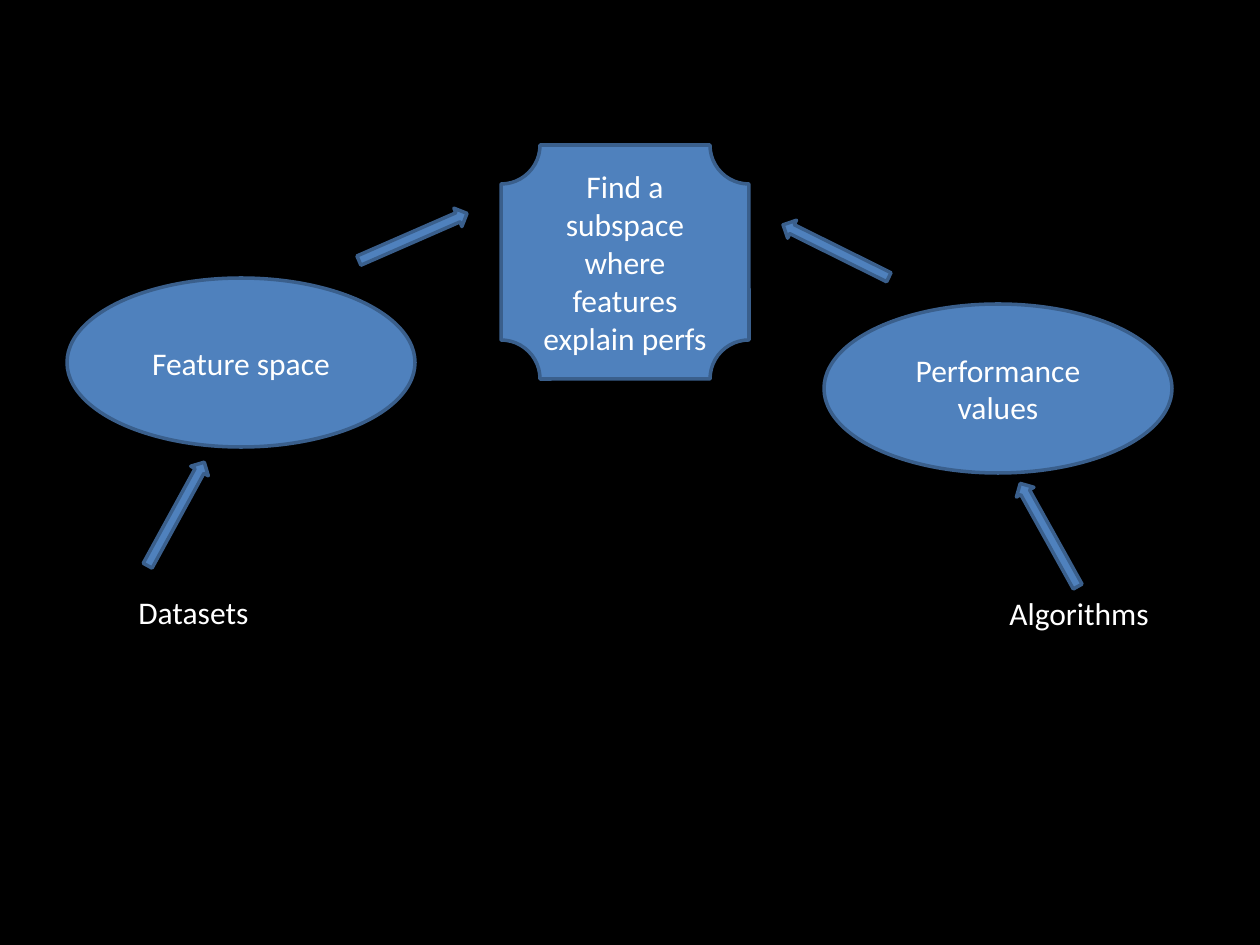
from dataclasses import dataclass

from pptx import Presentation
from pptx import util as u
from pptx.dml.color import RGBColor
from pptx.enum import shapes, text

PX = u.Inches(1) / 126
NODE_W, NODE_H = 348, 169
ARROW_W, ARROW_H = 118, 20
LABEL_W, LABEL_H = 174, 50


@dataclass(frozen=True)
class Theme:
    background: RGBColor = RGBColor(0x00, 0x00, 0x00)
    fill: RGBColor = RGBColor(0x4F, 0x81, 0xBD)
    line: RGBColor = RGBColor(0x3A, 0x5F, 0x8C)
    ink: RGBColor = RGBColor(0xFF, 0xFF, 0xFF)
    font: str = "Calibri"
    size: int = 18
    line_width: int = 2


@dataclass(frozen=True)
class Box:
    x: int
    y: int
    w: int
    h: int

    def emu(self) -> list[int]:
        return [round(v * PX) for v in (self.x, self.y, self.w, self.h)]


@dataclass(frozen=True)
class Node:
    kind: shapes.MSO_SHAPE
    box: Box
    lines: tuple[str, ...] = ()
    rotation: float = 0


@dataclass(frozen=True)
class Label:
    box: Box
    caption: str
    wrap: bool


THEME = Theme()


def arrow(x: int, y: int, rotation: float) -> Node:
    return Node(shapes.MSO_SHAPE.RIGHT_ARROW, Box(x, y, ARROW_W, ARROW_H), rotation=rotation)


def space(x: int, y: int, caption: str) -> Node:
    return Node(shapes.MSO_SHAPE.OVAL, Box(x, y, NODE_W, NODE_H), (caption,))


def write(tf, lines: tuple[str, ...], align: text.PP_ALIGN) -> None:
    fmt = {"name": THEME.font, "size": u.Pt(THEME.size)}
    for i, line in enumerate(lines):
        p = tf.add_paragraph() if i else tf.paragraphs[0]
        p.alignment = align
        r = p.add_run()
        r.text = line
        for key, value in fmt.items():
            setattr(r.font, key, value)
        r.font.color.rgb = THEME.ink


def draw_node(s, node: Node) -> None:
    sp = s.shapes.add_shape(node.kind, *node.box.emu())
    sp.rotation = node.rotation
    sp.shadow.inherit = False
    sp.fill.solid()
    sp.fill.fore_color.rgb = THEME.fill
    sp.line.color.rgb = THEME.line
    sp.line.width = u.Pt(THEME.line_width)
    sp.text_frame.vertical_anchor = text.MSO_ANCHOR.MIDDLE
    write(sp.text_frame, node.lines, text.PP_ALIGN.CENTER)


def draw_label(s, label: Label) -> None:
    tf = s.shapes.add_textbox(*label.box.emu()).text_frame
    fmt = {"word_wrap": label.wrap, "auto_size": text.MSO_AUTO_SIZE.SHAPE_TO_FIT_TEXT}
    for key, value in fmt.items():
        setattr(tf, key, value)
    write(tf, (label.caption,), text.PP_ALIGN.LEFT)


ITEMS = (
    Label(Box(126, 587, LABEL_W, LABEL_H), "Datasets", True),
    space(67, 278, "Feature space"),
    arrow(117, 504, 298.7),
    Label(Box(997, 588, LABEL_W, LABEL_H), "Algorithms", False),
    space(824, 304, "Performance values"),
    arrow(990, 525, 240.9),
    Node(
        shapes.MSO_SHAPE.PLAQUE,
        Box(501, 145, 248, 234),
        ("Find a subspace", "where", "features explain perfs"),
    ),
    arrow(354, 227, 336.4),
    arrow(777, 241, 206.4),
)


def main() -> None:
    prs = Presentation()
    prs.slide_width, prs.slide_height = u.Inches(10), u.Inches(7.5)
    s = prs.slides.add_slide(prs.slide_layouts[6])
    s.background.fill.solid()
    s.background.fill.fore_color.rgb = THEME.background
    for item in ITEMS:
        if isinstance(item, Label):
            draw_label(s, item)
        else:
            draw_node(s, item)
    prs.save("out.pptx")


if __name__ == "__main__":
    main()
